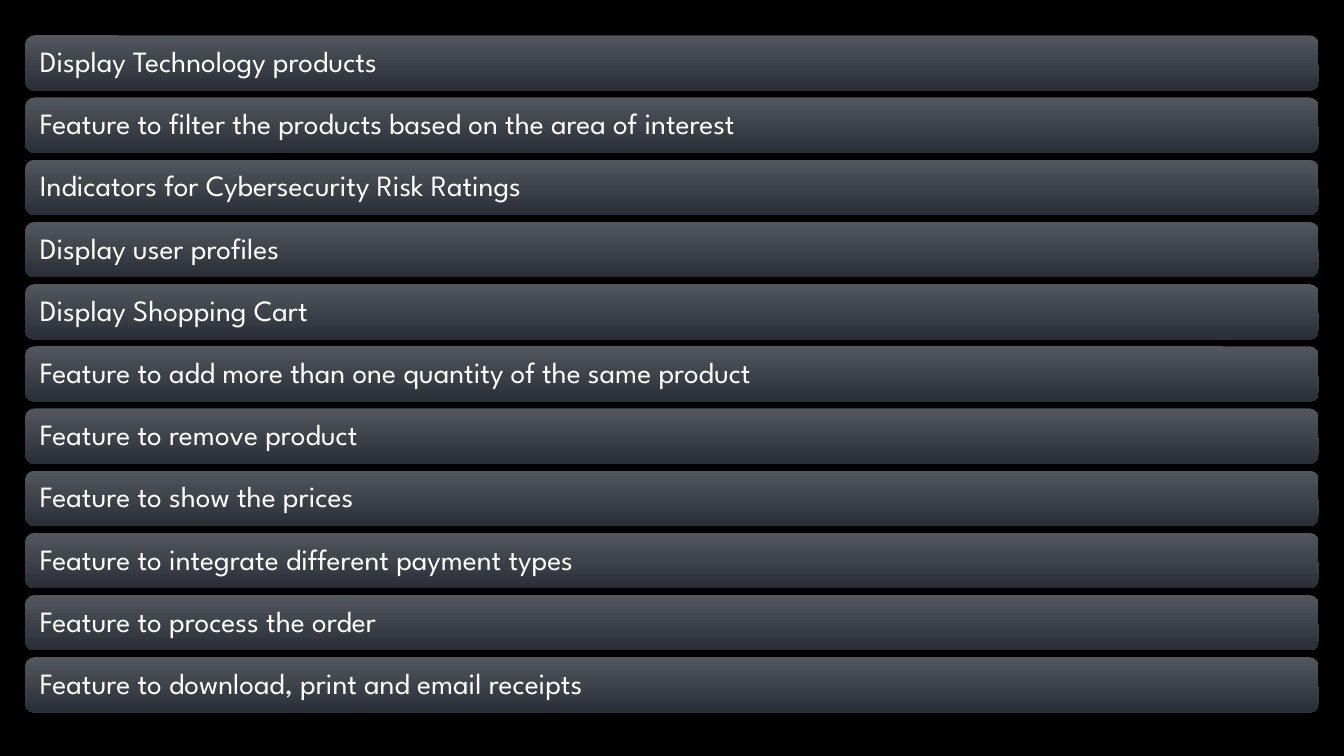
from dataclasses import dataclass

from pptx import Presentation
from pptx import util as u
from pptx.dml import color
from pptx.enum import shapes, text
from pptx.slide import Slide

FEATURES = [
    "Display Technology products",
    "Feature to filter the products based on the area of interest",
    "Indicators for Cybersecurity Risk Ratings",
    "Display user profiles",
    "Display Shopping Cart",
    "Feature to add more than one quantity of the same product",
    "Feature to remove product",
    "Feature to show the prices",
    "Feature to integrate different payment types",
    "Feature to process the order",
    "Feature to download, print and email receipts",
]
LEFT, WIDTH, HEIGHT = 0.25, 12.83, 0.55
FIRST_TOP, LAST_TOP = 0.35, 6.52
PITCH = (LAST_TOP - FIRST_TOP) / (len(FEATURES) - 1)

FRAME_FORMAT = {
    "word_wrap": True,
    "vertical_anchor": text.MSO_ANCHOR.MIDDLE,
    "margin_left": u.Inches(0.12),
    "margin_right": u.Inches(0.12),
    "margin_top": u.Inches(0.09),
    "margin_bottom": u.Inches(0.09),
}
PARAGRAPH_FORMAT = {"alignment": text.PP_ALIGN.LEFT, "line_spacing": 0.9}
FONT_FORMAT = {"name": "League Spartan", "size": u.Pt(21)}


@dataclass
class FeatureBar:
    label: str
    top: float


def rgb(value: str) -> color.RGBColor:
    return color.RGBColor.from_string(value)


def apply_format(target: object, values: dict) -> None:
    for name, value in values.items():
        setattr(target, name, value)


def draw_bar(slide: Slide, bar: FeatureBar) -> None:
    shape = slide.shapes.add_shape(
        shapes.MSO_SHAPE.ROUNDED_RECTANGLE,
        u.Inches(LEFT), u.Inches(bar.top), u.Inches(WIDTH), u.Inches(HEIGHT),
    )
    shape.shadow.inherit = False
    shape.line.fill.background()
    shape.fill.gradient()
    shape.fill.gradient_angle = 270
    for stop, value in zip(shape.fill.gradient_stops, ("52565D", "2A2F37")):
        stop.color.rgb = rgb(value)

    apply_format(shape.text_frame, FRAME_FORMAT)
    paragraph = shape.text_frame.paragraphs[0]
    apply_format(paragraph, PARAGRAPH_FORMAT)
    run = paragraph.add_run()
    run.text = bar.label
    apply_format(run.font, FONT_FORMAT)
    run.font.color.rgb = rgb("FFFFFF")


def main() -> None:
    presentation = Presentation()
    presentation.slide_width = u.Inches(13.33)
    presentation.slide_height = u.Inches(7.5)
    slide = presentation.slides.add_slide(presentation.slide_layouts[6])
    slide.background.fill.solid()
    slide.background.fill.fore_color.rgb = rgb("000000")

    for index, label in enumerate(FEATURES):
        draw_bar(slide, FeatureBar(label, FIRST_TOP + index * PITCH))

    presentation.save("out.pptx")


if __name__ == "__main__":
    main()
